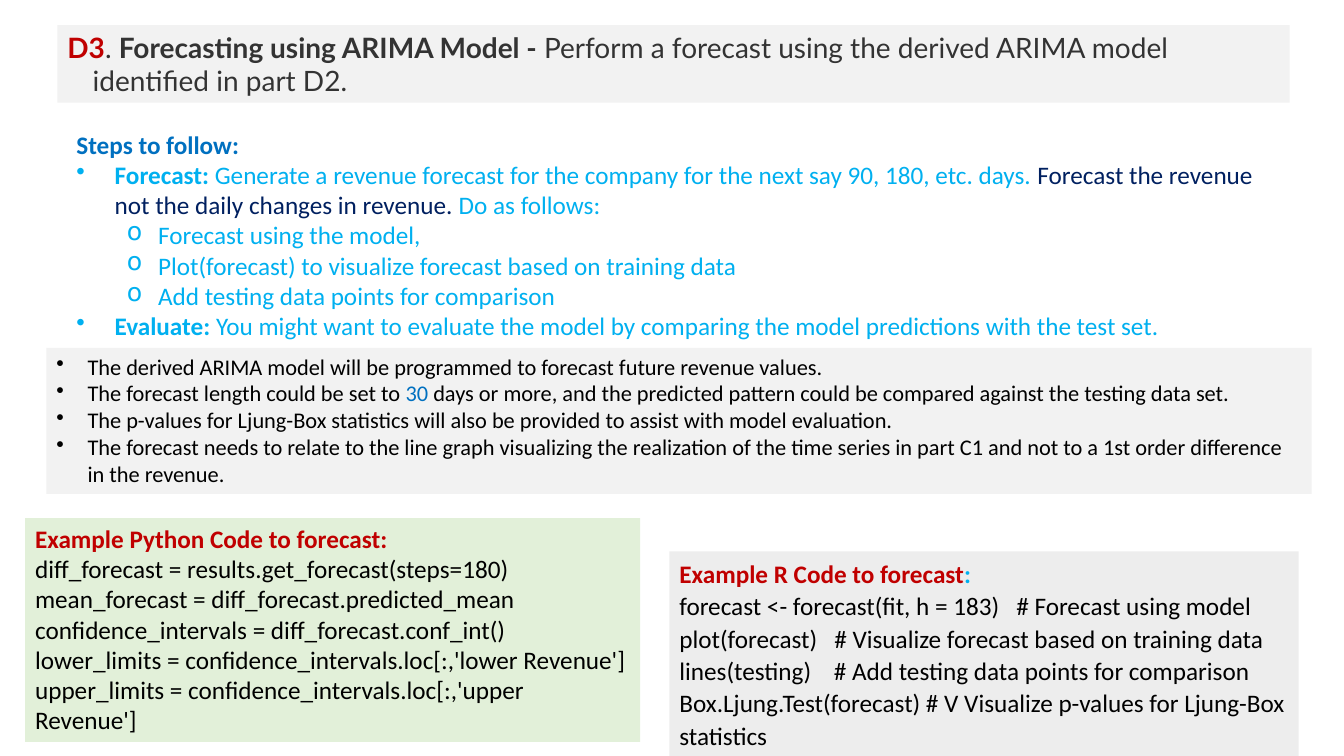
"""Build the slide on forecasting with an ARIMA model."""
import dataclasses
import typing

import lxml.etree
import pptx
import pptx.dml.color
import pptx.enum.shapes
import pptx.enum.text
import pptx.oxml.ns
import pptx.util

SCALE = 9144
COLORS = {
    "red": "C00000", "dark": "333333", "blue": "0070C0", "sky": "00B0F0",
    "navy": "002060", "black": "000000", "gray": "F2F2F2",
    "silver": "EDEDED", "green": "E2F0D9",
}


@dataclasses.dataclass(frozen=True)
class Run:
    text: str
    color: str = "black"
    bold: bool = False


@dataclasses.dataclass(frozen=True)
class Line:
    runs: typing.Tuple[Run, ...]
    left: int = 0
    hang: int = 0
    mark: str = ""
    level: int = 0


@dataclasses.dataclass(frozen=True)
class Panel:
    left: int
    top: int
    width: int
    height: int
    lines: typing.List[Line]
    fill: str = ""
    size: int = 18
    font: str = "Calibri"
    space: float = 1.0


def px(count: int) -> int:
    return pptx.util.Emu(count * SCALE)


def color(name: str) -> pptx.dml.color.RGBColor:
    return pptx.dml.color.RGBColor.from_string(COLORS[name])


def step(*runs: Run) -> Line:
    return Line(runs, 38, 38, "•")


def substep(text: str) -> Line:
    return Line((Run(text, "sky"),), 81, 31, "o", 1)


def note(*runs: Run) -> Line:
    return Line(runs, 31, 31, "•")


def code(*texts: str) -> typing.List[Line]:
    return [Line((Run(text),)) for text in texts]


def write(para, text: str, *, size: int, font: str, tint: str, bold: bool) -> None:
    run = para.add_run()
    run.text = text
    run.font.size = pptx.util.Pt(size)
    run.font.name = font
    run.font.bold = bold
    run.font.color.rgb = color(tint)


def indent(para, line: Line) -> None:
    props = para._p.get_or_add_pPr()
    props.set("marL", str(px(line.left)))
    props.set("indent", str(px(-line.hang)))
    if line.mark:
        bullet = lxml.etree.SubElement(props, pptx.oxml.ns.qn("a:buChar"))
        bullet.set("char", line.mark)


def draw(slide, panel: Panel) -> None:
    place = [px(n) for n in (panel.left, panel.top, panel.width, panel.height)]
    if panel.fill:
        shape = slide.shapes.add_shape(pptx.enum.shapes.MSO_SHAPE.RECTANGLE, *place)
        shape.shadow.inherit = False
        shape.fill.solid()
        shape.fill.fore_color.rgb = color(panel.fill)
        shape.line.fill.background()
    else:
        shape = slide.shapes.add_textbox(*place)
    frame = shape.text_frame
    frame.word_wrap = True
    frame.auto_size = pptx.enum.text.MSO_AUTO_SIZE.SHAPE_TO_FIT_TEXT
    frame.vertical_anchor = pptx.enum.text.MSO_ANCHOR.TOP
    for index, line in enumerate(panel.lines):
        para = frame.add_paragraph() if index else frame.paragraphs[0]
        para.alignment = pptx.enum.text.PP_ALIGN.LEFT
        para.level = line.level
        para.line_spacing = panel.space
        indent(para, line)
        for run in line.runs:
            write(para, run.text, size=panel.size, font=panel.font,
                  tint=run.color, bold=run.bold)


PANELS = [
    Panel(57, 25, 1222, 77, [
        Line((
            Run("D3", "red", True),
            Run(".\u00a0".replace("\u00a0", " "), "dark"),
            Run("Forecasting using ARIMA Model - ", "dark", True),
            Run("Perform a forecast using the derived ARIMA model identified in part D2.", "dark"),
        ), 25, 25),
    ], "gray", 20, "Lato"),
    Panel(66, 123, 1214, 222, [
        Line((Run("Steps to follow:", "blue", True),)),
        step(
            Run("Forecast:", "sky", True),
            Run(" Generate a revenue forecast for the company for the next say 90, 180, etc. days. ", "sky"),
            Run("Forecast the revenue not the daily changes in revenue. ", "navy"),
            Run("Do as follows:", "sky"),
        ),
        substep("Forecast using the model,"),
        substep("Plot(forecast) to visualize forecast based on training data"),
        substep("Add testing data points for comparison"),
        step(
            Run("Evaluate: ", "sky", True),
            Run("You might want to evaluate the model by comparing the model predictions with the test set.", "sky"),
        ),
    ]),
    Panel(25, 514, 610, 222, [
        Line((Run("Example Python Code to forecast:", "red", True),)),
        *code(
            "diff_forecast = results.get_forecast(steps=180)",
            "mean_forecast = diff_forecast.predicted_mean",
            "confidence_intervals = diff_forecast.conf_int()",
            "lower_limits = confidence_intervals.loc[:,'lower Revenue']",
            "upper_limits = confidence_intervals.loc[:,'upper Revenue']",
        ),
    ], "green"),
    Panel(664, 547, 624, 203, [
        Line((Run("Example R Code to forecast", "red", True), Run(":", "sky", True))),
        *code(
            "forecast <- forecast(fit, h = 183)   # Forecast using model",
            "plot(forecast)   # Visualize forecast based on training data",
            "lines(testing)    # Add testing data points for comparison",
            "Box.Ljung.Test(forecast) # V Visualize p-values for Ljung-Box statistics",
        ),
    ], "silver", space=1.07),
    Panel(46, 345, 1255, 145, [
        note(Run("The derived ARIMA model will be programmed to forecast future revenue values.")),
        note(
            Run("The forecast length could be set to "),
            Run("30 ", "blue"),
            Run("days or more, and the predicted pattern could be compared against the testing data set."),
        ),
        note(Run("The p-values for Ljung-Box statistics will also be provided to assist with model evaluation.")),
        note(Run("The forecast needs to relate to the line graph visualizing the realization of the time series "
                 "in part C1 and not to a 1st order difference in the revenue.")),
    ], "gray", 16),
]


def main() -> None:
    deck = pptx.Presentation()
    deck.slide_width, deck.slide_height = px(1333), px(750)
    slide = deck.slides.add_slide(deck.slide_layouts[6])
    for panel in PANELS:
        draw(slide, panel)
    deck.save("out.pptx")


if __name__ == "__main__":
    main()
